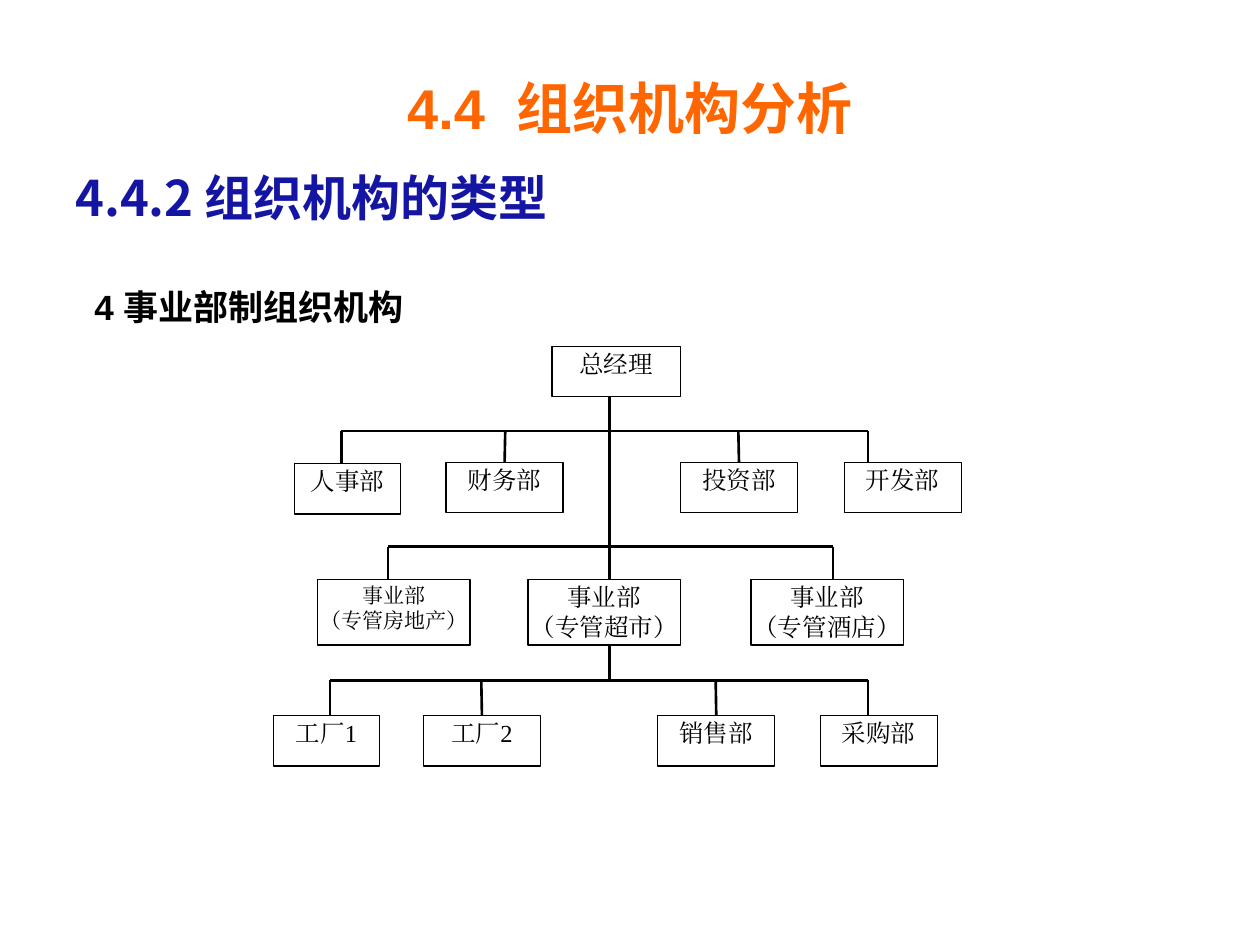
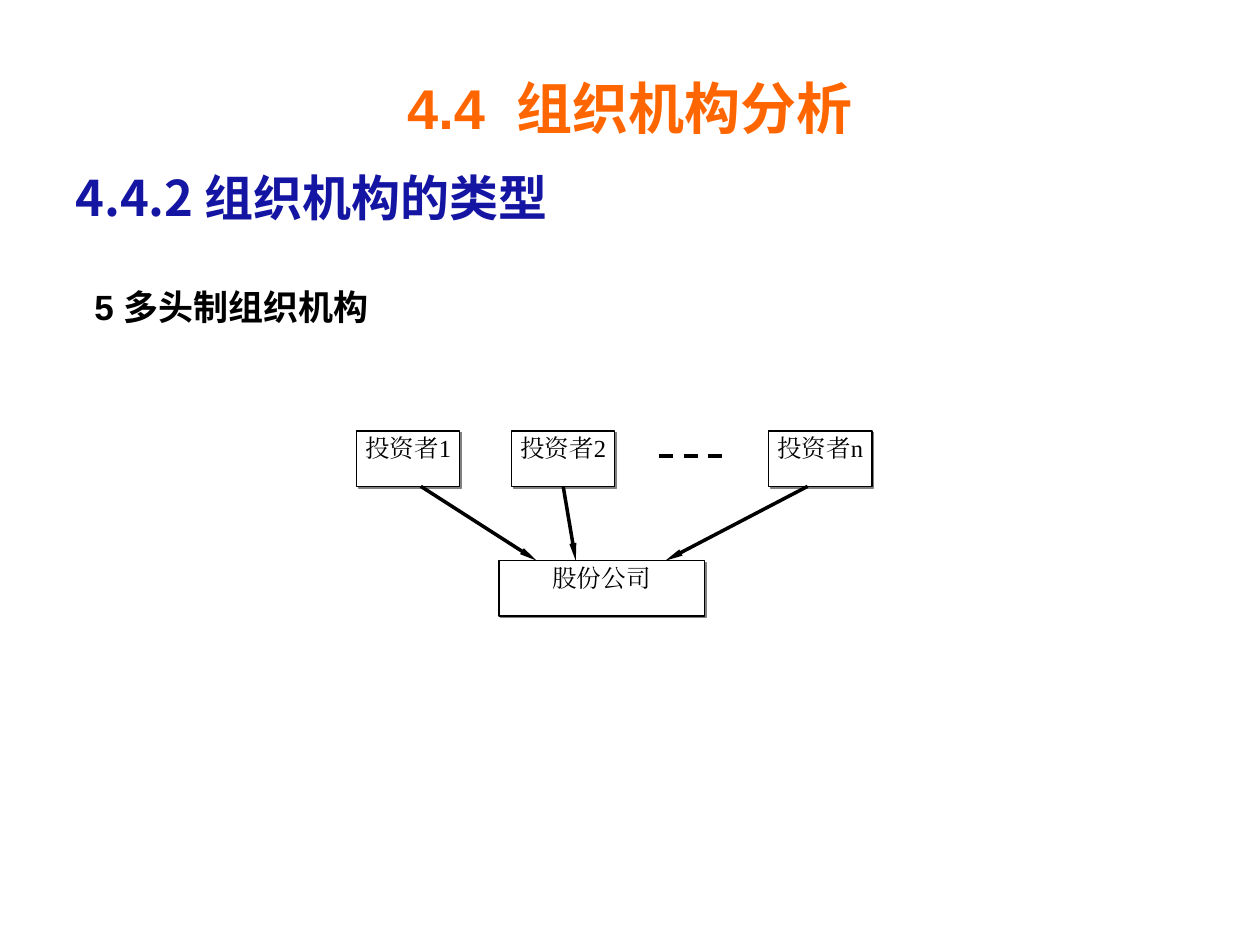
from dataclasses import dataclass

from lxml import etree
from pptx import Presentation
from pptx import util as u
from pptx.dml.color import RGBColor
from pptx.enum import dml, shapes, text
from pptx.oxml import ns


@dataclass(frozen=True)
class Theme:
    """Colours, fonts and type sizes shared by the slides."""
    title: str = "FF6600"
    heading: str = "1515A3"
    ink: str = "000000"
    paper: str = "FFFFFF"
    shade: str = "808080"
    sans: str = "Arial"
    cjk: str = "Noto Sans CJK SC"
    serif: str = "Times New Roman"
    title_size: float = 32
    heading_size: float = 28
    item_size: float = 20
    node_size: float = 14
    small_size: float = 12
    rule: float = 1.5
    hairline: float = 0


THEME = Theme()
TITLE = "4.4  组织机构分析"
HEADING = "4.4.2 组织机构的类型"


def add_xml(parent, tag, **attributes):
    """Append a drawing element and return it."""
    return etree.SubElement(parent, ns.qn(tag), attributes)


def write(para, words, size, font, color=THEME.ink, bold=False,
          align=text.PP_ALIGN.CENTER, before=0, indent=0.0):
    """Fill a paragraph with one formatted run."""
    para.alignment = align
    if before:
        para.space_before = u.Pt(before)
    if indent:
        para._p.get_or_add_pPr().set("marL", str(u.Inches(indent)))
    span = para.add_run()
    span.text = words
    span.font.size, span.font.name, span.font.bold = u.Pt(size), font, bold
    span.font.color.rgb = RGBColor.from_string(color)
    add_xml(span._r.get_or_add_rPr(), "a:ea", typeface=font)


def add_text_box(page, left, top, width, height, anchor):
    """Add a wrapping text box and return its text frame."""
    frame = page.shapes.add_textbox(*map(u.Inches, (left, top, width, height))).text_frame
    frame.word_wrap = True
    frame.margin_top = frame.margin_bottom = 0
    frame.vertical_anchor = anchor
    return frame


def add_headings(page, item):
    """Place the title, section heading and numbered item."""
    frame = add_text_box(page, 0.5, 0.5, 9, 0.7, text.MSO_ANCHOR.MIDDLE)
    write(frame.paragraphs[0], TITLE, THEME.title_size, THEME.sans, THEME.title, bold=True)
    frame = add_text_box(page, 0.5, 1.33, 9, 1.4, text.MSO_ANCHOR.TOP)
    left = text.PP_ALIGN.LEFT
    write(frame.paragraphs[0], HEADING, THEME.heading_size, THEME.cjk, THEME.heading,
          bold=True, align=left)
    write(frame.add_paragraph(), item, THEME.item_size, THEME.sans, bold=True,
          align=left, before=34, indent=0.15)


def add_node(page, lines, left, top, width, height, size=THEME.node_size, shadow=False):
    """Add an outlined box with centred lines of text."""
    box = page.shapes.add_shape(shapes.MSO_SHAPE.RECTANGLE,
                                *map(u.Inches, (left, top, width, height)))
    box.shadow.inherit = False
    box.fill.solid()
    box.fill.fore_color.rgb = RGBColor.from_string(THEME.paper)
    box.line.color.rgb = RGBColor.from_string(THEME.ink)
    box.line.width = u.Pt(THEME.hairline)
    if shadow:
        effects = box._element.spPr.find(ns.qn("a:effectLst"))
        outer = add_xml(effects, "a:outerShdw", dist=str(u.Pt(1.4)), dir="2700000",
                        algn="ctr", rotWithShape="0")
        add_xml(outer, "a:srgbClr", val=THEME.shade)
    frame = box.text_frame
    frame.word_wrap = False
    frame.vertical_anchor = text.MSO_ANCHOR.TOP
    frame.margin_left = frame.margin_right = frame.margin_bottom = 0
    frame.margin_top = u.Inches(0.02)
    for index, words in enumerate(lines):
        para = frame.add_paragraph() if index else frame.paragraphs[0]
        write(para, words, size, THEME.serif)
    return box


def meets_middle(box, x):
    """Tell whether x lies at the middle of the box's width."""
    return abs(box.left + box.width / 2 - u.Inches(x)) < u.Inches(0.01)


def add_line(page, start, end, width=THEME.rule, source=None, target=None,
             arrow=False, dash=False):
    """Draw a line, joined to a box where it meets the middle of a side."""
    line = page.shapes.add_connector(shapes.MSO_CONNECTOR.STRAIGHT,
                                     *map(u.Inches, (*start, *end)))
    line.line.color.rgb = RGBColor.from_string(THEME.ink)
    line.line.width = u.Pt(width)
    if dash:
        line.line.dash_style = dml.MSO_LINE.DASH
    if arrow:
        add_xml(line.line._get_or_add_ln(), "a:tailEnd", type="triangle", w="sm", len="lg")
    add_xml(line._element.spPr, "a:effectLst")
    if source is not None and meets_middle(source, start[0]):
        line.begin_connect(source, 2)
    if target is not None and meets_middle(target, end[0]):
        line.end_connect(target, 0)


def add_level(page, left, bus, height, nodes):
    """Draw a row of boxes hanging from a horizontal bus."""
    for lines, x, y, width, drop, size in nodes:
        box = add_node(page, lines, left + x, y, width, height, size)
        add_line(page, (left + drop, bus), (left + drop, y), target=box)
    drops = [node[4] for node in nodes]
    add_line(page, (left + min(drops), bus), (left + max(drops), bus))


def draw_division_chart(page, left, top):
    """Draw the divisional organisation tree."""
    size, small = THEME.node_size, THEME.small_size
    trunk = 2.67
    staff, divisions, works = top + 0.92, top + 1.85, top + 2.93
    staff_bus, division_bus, works_bus = top + 0.67, top + 1.59, top + 2.65
    add_node(page, ["总经理"], left + 2.21, top, 1.02, 0.4)
    add_level(page, left, staff_bus, 0.4, [
        (["人事部"], 0.17, staff + 0.01, 0.84, 0.54, size),
        (["财务部"], 1.37, staff, 0.93, 1.84, size),
        (["投资部"], 3.23, staff, 0.93, 3.69, size),
        (["开发部"], 4.53, staff, 0.93, 4.72, size)])
    add_level(page, left, division_bus, 0.52, [
        (["事业部", "（专管房地产）"], 0.35, divisions, 1.21, 0.91, small),
        (["事业部", "（专管超市）"], 2.02, divisions, 1.21, trunk, size),
        (["事业部", "（专管酒店）"], 3.79, divisions, 1.21, 4.44, size)])
    add_level(page, left, works_bus, 0.4, [
        (["工厂1"], 0, works, 0.84, 0.45, size),
        (["工厂2"], 1.19, works, 0.93, 1.65, size),
        (["销售部"], 3.05, works, 0.93, 3.51, size),
        (["采购部"], 4.34, works, 0.93, 4.72, size)])
    for start, end in ((top + 0.4, division_bus), (divisions + 0.52, works_bus)):
        add_line(page, (left + trunk, start), (left + trunk, end))


def draw_investor_chart(page, left, top):
    """Draw the investors pointing at their joint company."""
    height, company_top = 0.44, top + 1.03
    company = add_node(page, ["股份公司"], left + 1.13, company_top, 1.63, height, shadow=True)
    for name, x, start, end in (("投资者1", 0, 0.51, 1.43),
                                ("投资者2", 1.23, 1.64, 1.74),
                                ("投资者n", 3.27, 3.58, 2.45)):
        investor = add_node(page, [name], left + x, top, 0.82, height, shadow=True)
        add_line(page, (left + start, top + height), (left + end, company_top),
                 THEME.hairline, investor, company, arrow=True)
    add_line(page, (left + 2.4, top + 0.2), (left + 2.91, top + 0.2),
             THEME.hairline, dash=True)


def main():
    """Build and save the deck."""
    deck = Presentation()
    deck.slide_width, deck.slide_height = u.Inches(10), u.Inches(7.5)
    for item, draw, left, top in (("4 事业部制组织机构", draw_division_chart, 2.17, 2.75),
                                  ("5 多头制组织机构", draw_investor_chart, 2.83, 3.42)):
        page = deck.slides.add_slide(deck.slide_layouts[6])
        add_headings(page, item)
        draw(page, left, top)
    deck.save("out.pptx")


if __name__ == "__main__":
    main()
